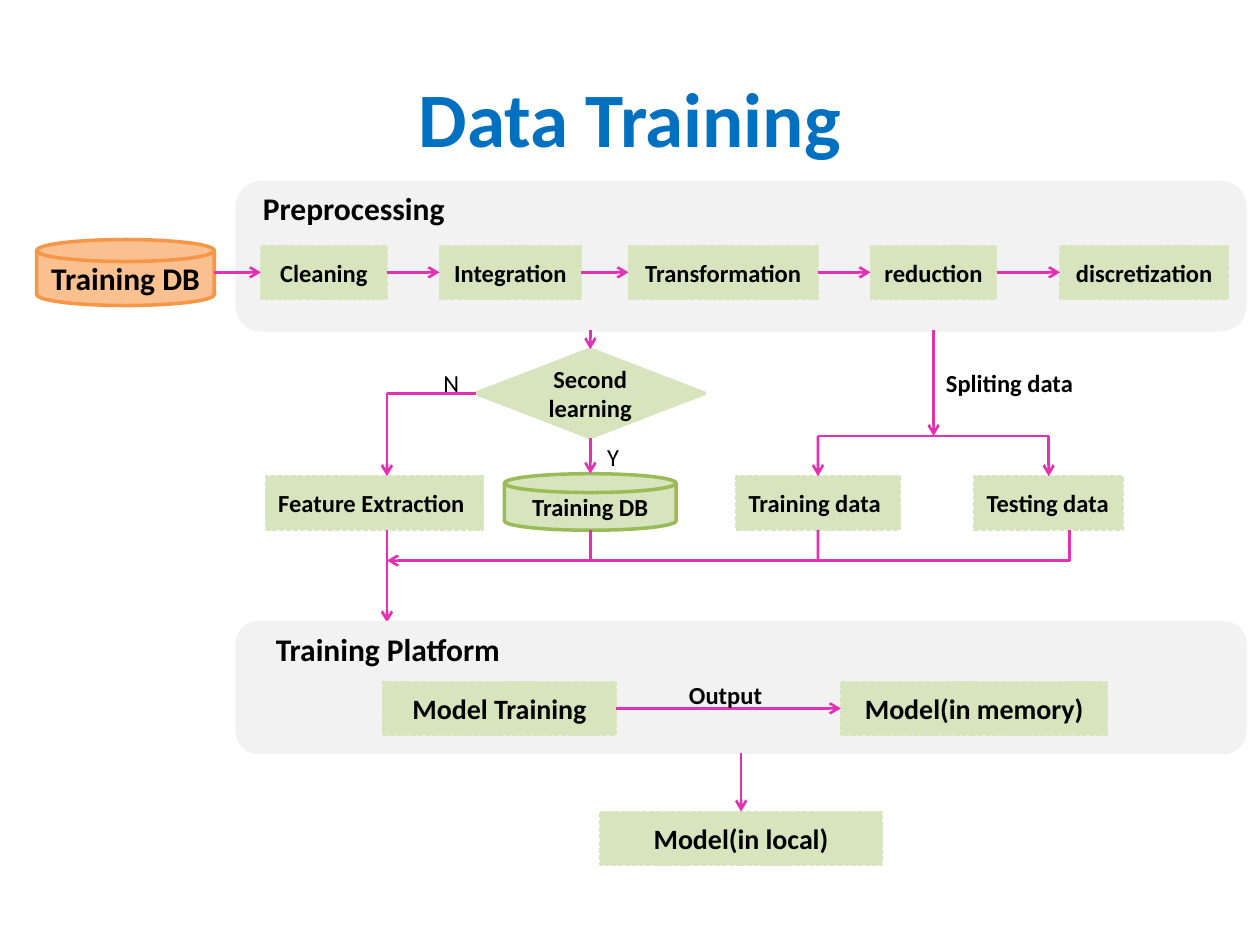
from lxml import etree
from pptx import Presentation
from pptx import util as u
from pptx.dml.color import RGBColor
from pptx.enum import dml, shapes, text
from pptx.oxml import ns

HUES = {
    "title": "0070C0", "ink": "000000", "panel": "F2F2F2", "box": "D7E4BD",
    "rim": "9BBB59", "disk": "FAC090", "edge": "F79646", "flow": "E331B4",
}
KIND = shapes.MSO_SHAPE
MID = text.PP_ALIGN.CENTER
TOP, LEFT, FOOT, RIGHT = range(4)
BOX_H = 1.08


def hue(name):
    return RGBColor.from_string(HUES[name])


def write(frame, words, size=14, bold=True, color="ink", align=None):
    """Fill a text frame, one paragraph per line of words."""
    frame.word_wrap = True
    for i, line in enumerate(words.split("\n")):
        para = frame.paragraphs[0] if i == 0 else frame.add_paragraph()
        para.alignment = align
        run = para.add_run()
        run.text = line
        font = run.font
        font.name, font.size, font.bold = "Calibri", u.Pt(size), bold
        font.color.rgb = hue(color)


def label(slide, x, y, w, words, **form):
    box = slide.shapes.add_textbox(*map(u.Cm, (x, y, w, 0.86)))
    write(box.text_frame, words, **form)


def block(slide, kind, x, y, w, h, fill, edge=None, width=2):
    """Add a filled, outlined shape without a shadow."""
    shape = slide.shapes.add_shape(kind, *map(u.Cm, (x, y, w, h)))
    shape.shadow.inherit = False
    shape.fill.solid()
    shape.fill.fore_color.rgb = hue(fill)
    shape.line.color.rgb = hue(edge or fill)
    shape.line.width = u.Pt(width)
    return shape


def step(slide, x, y, w, words, size=14, align=MID):
    """Add a process box with a dashed outline."""
    shape = block(slide, KIND.RECTANGLE, x, y, w, BOX_H, "box", width=1)
    shape.line.dash_style = dml.MSO_LINE.SQUARE_DOT
    shape.text_frame.vertical_anchor = text.MSO_ANCHOR.MIDDLE
    write(shape.text_frame, words, size=size, align=align)
    return shape


def node(slide, kind, x, y, w, h, words, fill, edge=None, size=14):
    """Add a disk or decision whose text uses all the room inside."""
    shape = block(slide, kind, x, y, w, h, fill, edge)
    frame = shape.text_frame
    frame.margin_left = frame.margin_right = 0
    frame.margin_top = frame.margin_bottom = 0
    frame.vertical_anchor = text.MSO_ANCHOR.MIDDLE
    write(frame, words, size=size, align=MID)
    return shape


def link(slide, start, end, head=True):
    """Draw a line; each end is a point (x, y) or a pair (shape, side)."""
    free = [isinstance(spot[0], (int, float)) for spot in (start, end)]
    spots = [u.Cm(n) for spot, loose in zip((start, end), free)
             for n in (spot if loose else (0, 0))]
    line = slide.shapes.add_connector(shapes.MSO_CONNECTOR.STRAIGHT, *spots)
    if not free[0]:
        line.begin_connect(*start)
    if not free[1]:
        line.end_connect(*end)
    line.line.color.rgb = hue("flow")
    line.line.width = u.Pt(1.5)
    if head:
        tip = etree.SubElement(line.line._get_or_add_ln(), ns.qn("a:tailEnd"))
        tip.set("type", "arrow")
    etree.SubElement(line._element.spPr, ns.qn("a:effectLst"))


def chain(slide, boxes):
    for prev, then in zip(boxes, boxes[1:]):
        link(slide, (prev, RIGHT), (then, LEFT))


def prepare(slide):
    """Preprocessing panel with its row of steps and the source disk."""
    block(slide, KIND.ROUNDED_RECTANGLE, 4.78, 3.68, 20.32, 2.97, "panel")
    label(slide, 5.05, 3.68, 4.6, "Preprocessing", size=18)
    row = [
        (5.26, 2.54, "Cleaning"), (8.86, 2.86, "Integration"),
        (12.67, 3.82, "Transformation"), (17.55, 2.54, "reduction"),
        (21.37, 3.39, "discretization"),
    ]
    steps = [step(slide, x, 4.95, w, words) for x, w, words in row]
    node(slide, KIND.FLOWCHART_MAGNETIC_DISK, 0.74, 4.83, 3.58, 1.33,
         "Training DB", "disk", "edge", size=18)
    link(slide, (4.32, 5.49), (steps[0], LEFT))
    chain(slide, steps)


def branch(slide):
    """Decision, data split and the line that merges all the branches."""
    y, foot, split, merge = 9.6, 9.6 + BOX_H, 8.79, 11.3
    left, mid, fork = 7.8, 11.9, 18.82
    step(slide, 5.36, y, 4.39, "Feature Extraction", align=None)
    train = step(slide, 14.84, y, 3.3, "Training data", align=None)
    test = step(slide, 19.64, y, 3, "Testing data", align=None)

    # Decision
    asks = node(slide, KIND.FLOWCHART_DECISION, 9.59, 7.04, 4.62, 1.78,
                "Second\nlearning", "box")
    node(slide, KIND.FLOWCHART_MAGNETIC_DISK, 10.17, 9.55, 3.46, 1.14,
         "Training DB", "box", "rim")
    link(slide, (mid, 6.65), (asks, TOP))
    link(slide, (asks, FOOT), (mid, 9.55))
    link(slide, (left, 7.93), (asks, LEFT), head=False)
    link(slide, (left, 7.93), (left, y))
    label(slide, 8.69, 7.29, 0.9, "N", bold=False)
    label(slide, 11.99, 8.79, 0.9, "Y", bold=False)

    # Data split
    link(slide, (fork, 6.65), (fork, split))
    link(slide, (16.49, split), (21.14, split), head=False)
    link(slide, (16.49, split), (train, TOP))
    link(slide, (21.14, split), (test, TOP))
    label(slide, fork, 7.29, 3.4, "Spliting data")

    # Merge
    link(slide, (mid, foot), (mid, merge), head=False)
    link(slide, (train, FOOT), (16.49, merge), head=False)
    link(slide, (21.56, foot), (21.56, merge), head=False)
    link(slide, (21.56, merge), (left, merge))
    link(slide, (left, foot), (left, 12.55))


def train(slide):
    """Training platform panel and the saved model."""
    panel = block(slide, KIND.ROUNDED_RECTANGLE, 4.78, 12.55, 20.32, 2.62,
                  "panel")
    label(slide, 5.31, 12.57, 5.6, "Training Platform", size=18)
    chain(slide, [step(slide, 7.72, 13.74, 4.7, "Model Training", size=16),
                  step(slide, 16.95, 13.74, 5.38, "Model(in memory)", size=16)])
    label(slide, 13.64, 13.59, 3.58, "Output")
    local = step(slide, 12.1, 16.36, 5.68, "Model(in local)", size=16)
    link(slide, (panel, FOOT), (local, TOP))


def main():
    deck = Presentation()
    deck.slide_width, deck.slide_height = u.Cm(25.4), u.Cm(19.05)
    slide = deck.slides.add_slide(deck.slide_layouts[5])

    # Title
    title = slide.shapes.title
    title.left, title.top = u.Cm(1.27), u.Cm(0.76)
    title.width, title.height = u.Cm(22.86), u.Cm(3.18)
    title.text_frame.vertical_anchor = text.MSO_ANCHOR.MIDDLE
    write(title.text_frame, "Data Training", size=44, color="title", align=MID)

    prepare(slide)
    branch(slide)
    train(slide)
    deck.save("out.pptx")


if __name__ == "__main__":
    main()
